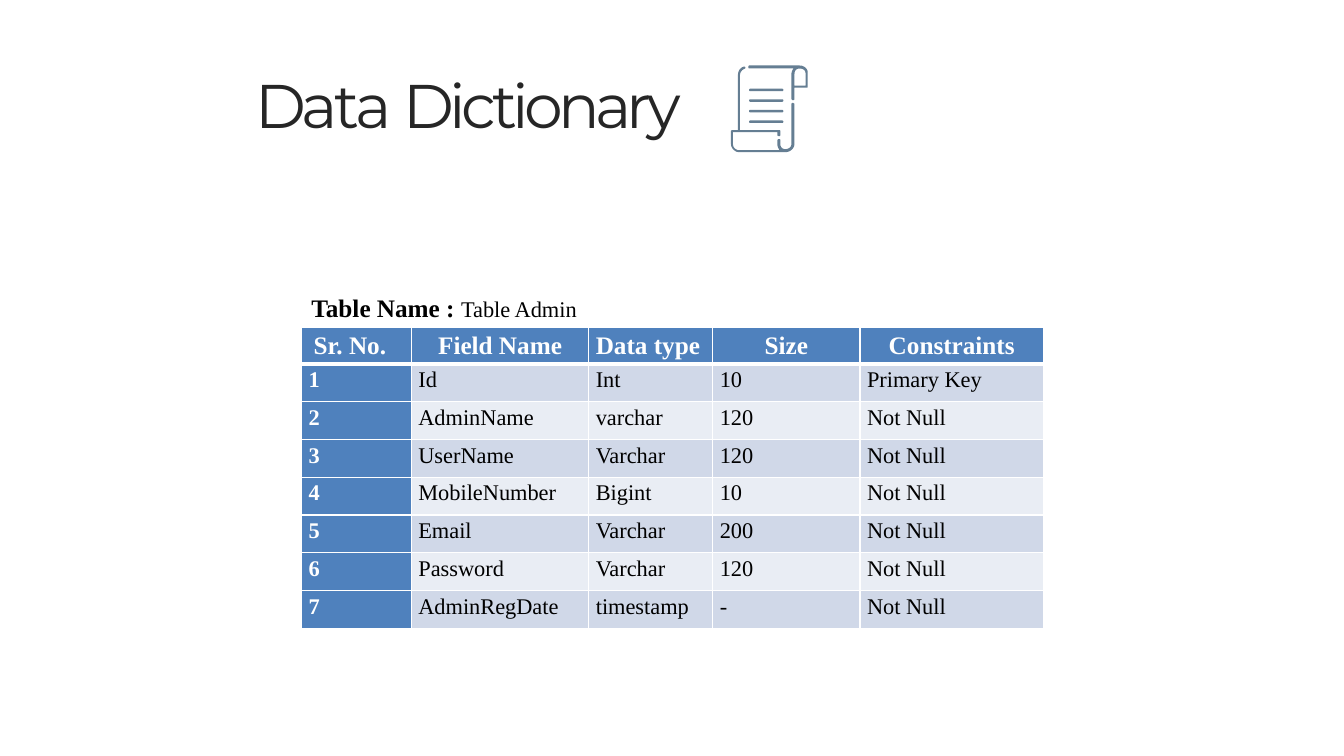
from lxml import etree
from pptx import Presentation
from pptx import util as u
from pptx.dml.color import RGBColor
from pptx.enum import shapes, text
from pptx.oxml.ns import qn

TITLE = [("Data ", {"spacing": -290}), ("Dictionary", {"spacing": -340})]
CAPTION = [("Table Name : ", {"size": 18, "bold": True}), ("Table Admin", {"size": 16})]
HEADER = ("Sr. No.", "Field Name", "Data type", "Size", "Constraints")
FIELDS = [
    ("Id", "Int", "10", "Primary Key"),
    ("AdminName", "varchar", "120", "Not Null"),
    ("UserName", "Varchar", "120", "Not Null"),
    ("MobileNumber", "Bigint", "10", "Not Null"),
    ("Email", "Varchar", "200", "Not Null"),
    ("Password", "Varchar", "120", "Not Null"),
    ("AdminRegDate", "timestamp", "-", "Not Null"),
]
COLUMN_WIDTHS = (1.09, 1.76, 1.23, 1.46, 1.82)
HEADER_HEIGHT, ROW_HEIGHT = 0.36, 0.375
TABLE_LEFT, TABLE_TOP = 2.99, 3.25
BLUE, BANDS, WHITE, BLACK = "4F81BD", ("D0D8E8", "E9EDF4"), "FFFFFF", "000000"
DARK, SLATE = "262626", "657E93"
SERIF, SANS = "Times New Roman", "Montserrat"

SCROLL_BODY = [[
    (7.38, 0.66), (7.34, 0.67, 7.32, 0.71, 7.32, 0.74), (7.32, 1.29), (7.26, 1.29),
    (7.25, 1.3), (7.25, 1.43), (7.25, 1.47, 7.29, 1.51, 7.33, 1.51), (7.79, 1.51),
    (7.84, 1.51, 7.88, 1.47, 7.88, 1.43), (7.88, 1.03),
    (7.88, 1.03, 7.87, 1.02, 7.86, 1.02), (7.85, 1.03), (7.85, 1.43),
    (7.85, 1.46, 7.82, 1.48, 7.79, 1.48), (7.76, 1.48, 7.74, 1.46, 7.74, 1.43),
    (7.74, 1.39), (7.74, 1.38, 7.73, 1.38, 7.72, 1.38), (7.71, 1.39), (7.71, 1.43),
    (7.71, 1.45, 7.72, 1.47, 7.73, 1.49), (7.32, 1.49),
    (7.29, 1.48, 7.27, 1.46, 7.27, 1.43), (7.27, 1.31), (7.71, 1.31), (7.71, 1.34),
    (7.71, 1.35, 7.74, 1.36, 7.74, 1.34), (7.74, 1.3),
    (7.74, 1.29, 7.73, 1.29, 7.72, 1.29), (7.34, 1.29), (7.34, 0.74),
    (7.34, 0.72, 7.36, 0.69, 7.39, 0.68), (7.4, 0.67, 7.39, 0.66, 7.38, 0.66),
]]
SCROLL_TOP = [
    [(7.93, 0.68), (7.97, 0.68, 7.99, 0.7, 7.99, 0.73), (7.99, 0.85), (7.88, 0.85),
     (7.88, 0.73), (7.88, 0.7, 7.9, 0.68, 7.93, 0.68)],
    [(7.43, 0.65), (7.42, 0.65, 7.42, 0.68, 7.43, 0.68), (7.87, 0.68),
     (7.86, 0.69, 7.85, 0.72, 7.85, 0.73), (7.85, 0.98),
     (7.85, 1, 7.88, 1, 7.88, 0.98), (7.88, 0.87), (8, 0.87),
     (8.01, 0.87, 8.01, 0.87, 8.01, 0.86), (8.01, 0.73),
     (8.02, 0.69, 7.98, 0.65, 7.93, 0.65)],
]


def color(value):
    return RGBColor.from_string(value)


def write(paragraph, content, font=SERIF, size=16, fill=BLACK, bold=False, spacing=None):
    run = paragraph.add_run()
    run.text = content
    run.font.name, run.font.size, run.font.bold = font, u.Pt(size), bold
    run.font.color.rgb = color(fill)
    if spacing:
        run._r.get_or_add_rPr().set("spc", str(spacing))


def paint(shape):
    shape.fill.solid()
    shape.fill.fore_color.rgb = color(SLATE)
    shape.line.fill.background()
    shape.shadow.inherit = False


def flatten(contour, steps=6):
    points = [contour[0]]
    for segment in contour[1:]:
        if len(segment) == 2:
            points.append(segment)
            continue
        x, y = points[-1]
        a, b, c, d, e, f = segment
        for step in range(1, steps + 1):
            t = step / steps
            s = 1 - t
            points.append((s**3 * x + 3 * s * s * t * a + 3 * s * t * t * c + t**3 * e,
                           s**3 * y + 3 * s * s * t * b + 3 * s * t * t * d + t**3 * f))
    return [(u.Inches(x), u.Inches(y)) for x, y in points]


def add_outline(group, contours):
    first, *others = [flatten(contour) for contour in contours]
    builder = group.shapes.build_freeform(*first[0])
    builder.add_line_segments(first[1:], close=True)
    for points in others:
        builder.move_to(*points[0])
        builder.add_line_segments(points[1:], close=True)
    paint(builder.convert_to_shape())


def add_borders(cell, bottom_width):
    properties = cell._tc.get_or_add_tcPr()
    widths = {"a:lnL": 1, "a:lnR": 1, "a:lnT": 1, "a:lnB": bottom_width}
    for position, (tag, width) in enumerate(widths.items()):
        line = etree.Element(qn(tag), w=str(u.Pt(width)))
        solid = etree.SubElement(line, qn("a:solidFill"))
        etree.SubElement(solid, qn("a:srgbClr"), val=WHITE)
        properties.insert(position, line)


def add_title(slide):
    title = slide.shapes.title
    title.left, title.top, title.width, title.height = map(u.Inches, (2.52, 0.65, 6.88, 0.76))
    frame = title.text_frame
    frame.margin_left = frame.margin_right = frame.margin_bottom = 0
    frame.margin_top = u.Inches(0.01)
    frame.vertical_anchor = text.MSO_ANCHOR.TOP
    frame.auto_size = text.MSO_AUTO_SIZE.SHAPE_TO_FIT_TEXT
    paragraph = frame.paragraphs[0]
    paragraph.alignment = text.PP_ALIGN.LEFT
    paragraph._p.get_or_add_pPr().set("marL", str(u.Inches(0.01)))
    for content, style in TITLE:
        write(paragraph, content, font=SANS, size=44, fill=DARK, **style)


def add_table(slide):
    rows = [HEADER] + [(str(number), *field) for number, field in enumerate(FIELDS, 1)]
    height = HEADER_HEIGHT + ROW_HEIGHT * len(FIELDS)
    table = slide.shapes.add_table(
        len(rows), len(HEADER), u.Inches(TABLE_LEFT), u.Inches(TABLE_TOP),
        u.Inches(sum(COLUMN_WIDTHS)), u.Inches(height)).table
    table.first_col = True
    for column, width in zip(table.columns, COLUMN_WIDTHS):
        column.width = u.Inches(width)
    for r, values in enumerate(rows):
        table.rows[r].height = u.Inches(ROW_HEIGHT if r else HEADER_HEIGHT)
        for c, value in enumerate(values):
            cell = table.cell(r, c)
            heading = r == 0 or c == 0
            cell.margin_left = cell.margin_right = u.Inches(0.07)
            cell.margin_top = cell.margin_bottom = 0
            cell.fill.solid()
            cell.fill.fore_color.rgb = color(BLUE if heading else BANDS[(r - 1) % 2])
            add_borders(cell, 1 if r else 3)
            paragraph = cell.text_frame.paragraphs[0]
            paragraph.line_spacing, paragraph.space_after = 1.15, u.Pt(10)
            if r == 0 and c in (1, 3, 4):
                paragraph.alignment = text.PP_ALIGN.CENTER
            if r == c == 0:
                paragraph._p.get_or_add_pPr().set("marL", str(u.Inches(0.05)))
            write(paragraph, value, size=16 if r else 18,
                  fill=WHITE if heading else BLACK, bold=heading)


def add_caption(slide):
    caption = slide.shapes.add_textbox(*map(u.Inches, (TABLE_LEFT, 2.85, 2.92, 0.4)))
    caption.text_frame.word_wrap = False
    caption.text_frame.auto_size = text.MSO_AUTO_SIZE.SHAPE_TO_FIT_TEXT
    for content, style in CAPTION:
        write(caption.text_frame.paragraphs[0], content, **style)


def add_scroll(slide):
    group = slide.shapes.add_group_shape()
    add_outline(group, SCROLL_BODY)
    add_outline(group, SCROLL_TOP)
    for index in range(4):
        bar = group.shapes.add_shape(
            shapes.MSO_SHAPE.ROUNDED_RECTANGLE, u.Inches(7.43),
            u.Inches(0.88 + 0.105 * index), u.Inches(0.34), u.Inches(0.025))
        bar.adjustments[0] = 0.5
        paint(bar)


def main():
    presentation = Presentation()
    presentation.slide_width, presentation.slide_height = u.Inches(13.33), u.Inches(7.5)
    slide = presentation.slides.add_slide(presentation.slide_layouts[5])
    add_title(slide)
    add_table(slide)
    add_caption(slide)
    add_scroll(slide)
    presentation.save("out.pptx")


if __name__ == "__main__":
    main()
